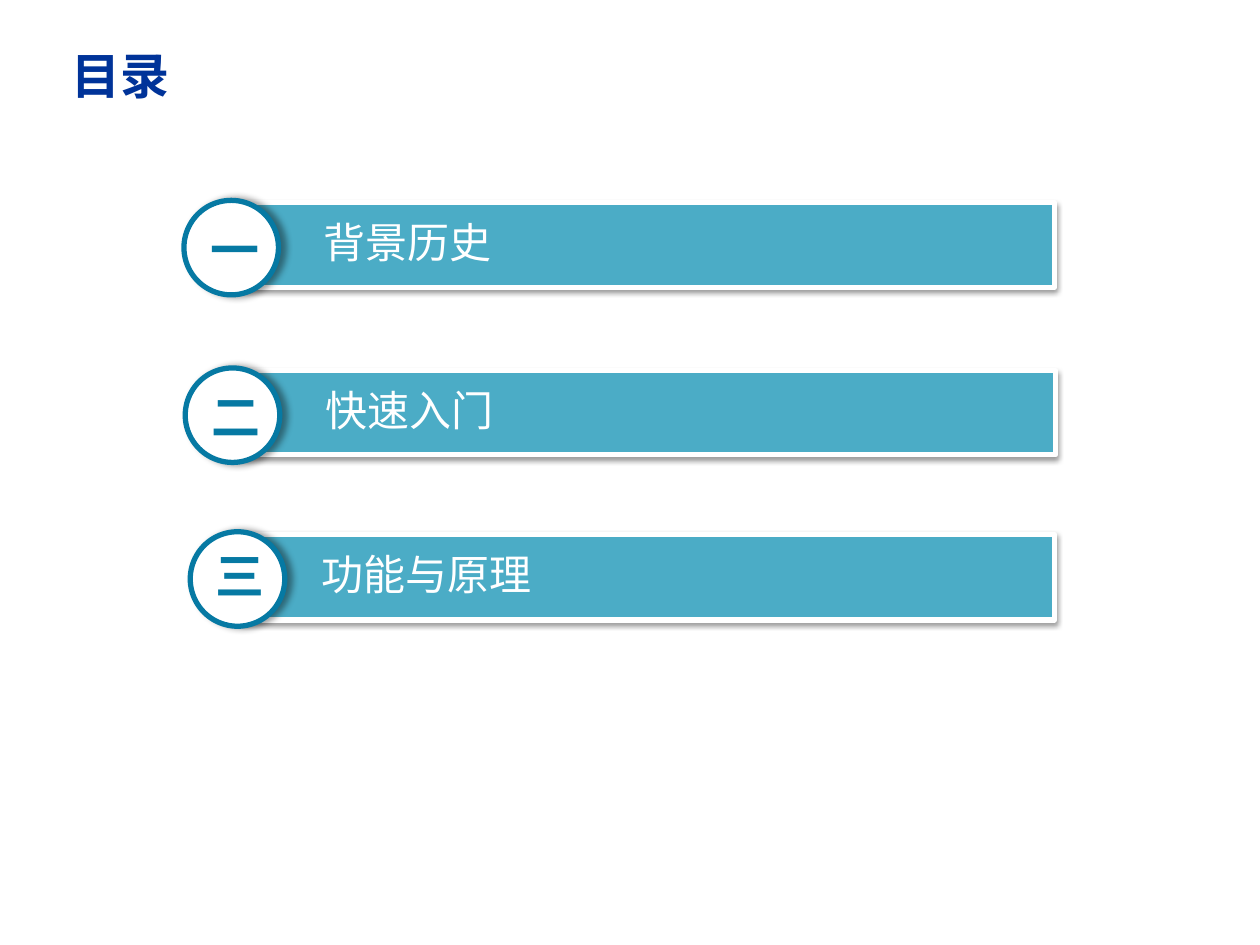
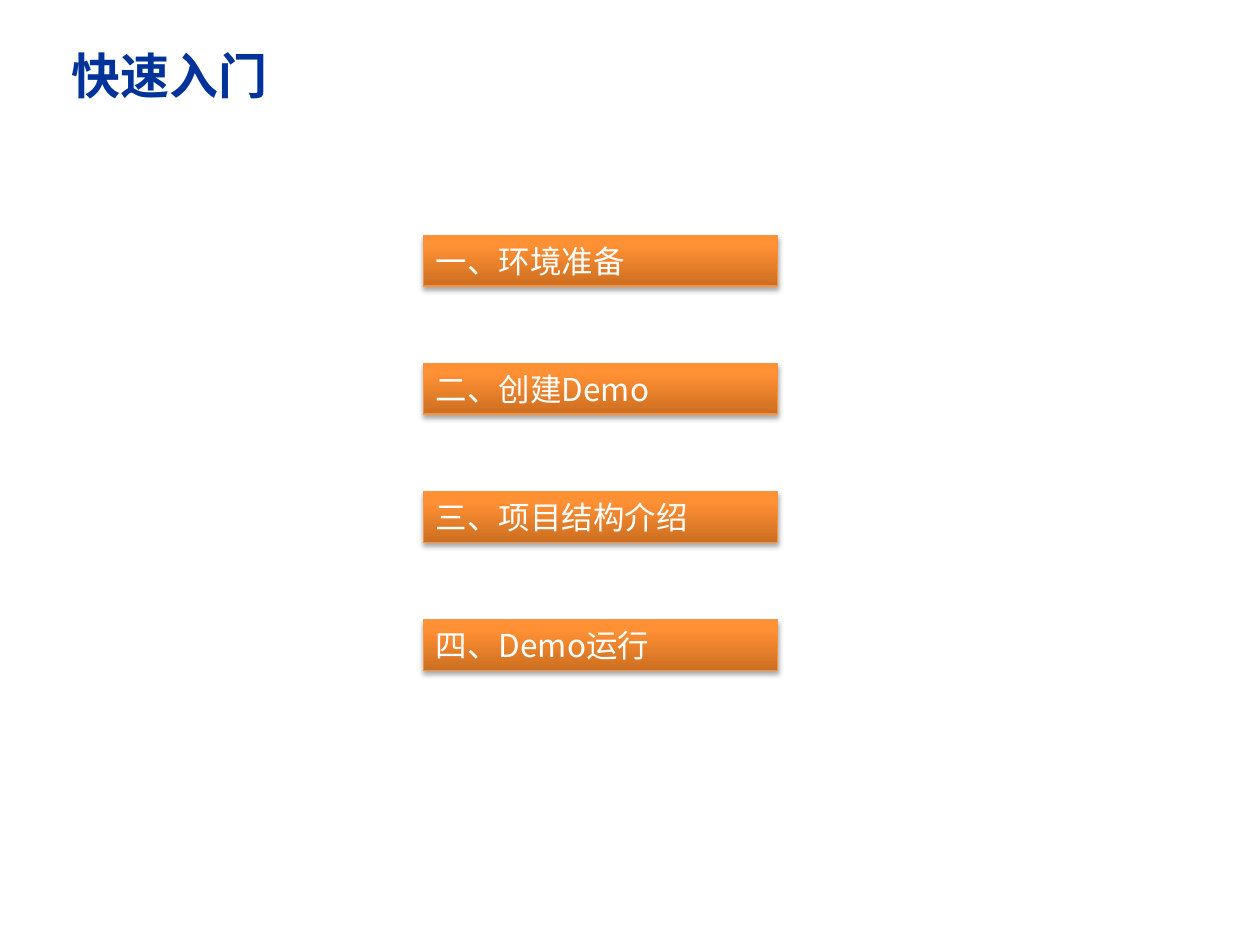
from typing import NamedTuple, Optional

from lxml.etree import SubElement
from pptx import Presentation
from pptx.dml.color import RGBColor
from pptx.enum.shapes import MSO_SHAPE as SHAPE
from pptx.enum.text import MSO_ANCHOR as ANCHOR, MSO_AUTO_SIZE as AUTOSIZE, PP_ALIGN as ALIGN
from pptx.oxml.ns import qn
from pptx.util import Inches, Pt

# Shared style
FONT = "Noto Sans CJK SC"
WHITE, NAVY, TEAL, RING = "FFFFFF", "003399", "4BACC6", "0679A3"
ORANGE_LINE, OUTLINE = "F69240", "181919"
ORANGE_STOPS = ((0, "CC6E20"), (80, "FF9034"), (100, "FF9136"))
TITLE_ONLY = 5

# The slide is a grid of 100 columns by 75 rows
WIDTH, HEIGHT = Inches(10), Inches(7.5)
COLUMNS, ROWS = 100, 75


class Box(NamedTuple):
    col: float
    row: float
    cols: float
    rows: float

    def place(self) -> tuple:
        return (round(WIDTH * self.col / COLUMNS), round(HEIGHT * self.row / ROWS),
                round(WIDTH * self.cols / COLUMNS), round(HEIGHT * self.rows / ROWS))


class Shadow(NamedTuple):
    opacity: int
    blur: float
    distance: float
    angle: int


class Chapter(NamedTuple):
    numeral: str
    title: str
    bar: Box
    disc: tuple
    label: Box


BAR_SHADOW = Shadow(38, 3.1, 1.6, 90)
DISC_SHADOW = Shadow(40, 4, 3, 0)
STEP_SHADOW = Shadow(35, 3.1, 1.8, 90)
DISC_SIZE = 7.5

CHAPTERS = (
    Chapter("一", "背景历史", Box(19.5, 16.1, 64.2, 6.7), (14.6, 15.9), Box(15.7, 16.9, 5.1, 5.7)),
    Chapter("二", "快速入门", Box(19.6, 29.4, 64.2, 6.7), (14.7, 29.2), Box(15.8, 30.2, 5.1, 5.7)),
    Chapter("三", "功能与原理", Box(19.3, 42.4, 64.4, 6.8), (15.1, 42.2), Box(16.1, 42.8, 5.6, 5.7)),
)
STEPS = ("一、环境准备", "二、创建Demo", "三、项目结构介绍", "四、Demo运行")
STEP_TOP, STEP_PITCH = 18.7, 10.17


def rgb(value: str) -> RGBColor:
    return RGBColor.from_string(value)


def add_color(parent, value: str, opacity: int = 100) -> None:
    clr = SubElement(parent, qn("a:srgbClr"), val=value)
    if opacity < 100:
        SubElement(clr, qn("a:alpha"), val=str(opacity * 1000))


def write(sp, text: str, *, size: float, color: str, bold: bool = False,
          align=ALIGN.LEFT, anchor=ANCHOR.TOP, wrap: bool = True, grow: bool = True,
          inset: float = 0.1, line_spacing: Optional[float] = None, outlined: bool = False) -> None:
    tf = sp.text_frame
    tf.word_wrap, tf.vertical_anchor = wrap, anchor
    tf.auto_size = AUTOSIZE.SHAPE_TO_FIT_TEXT if grow else AUTOSIZE.NONE
    tf.margin_left, tf.margin_right = Inches(inset), Inches(0.1)
    tf.margin_top = tf.margin_bottom = Inches(0.05)
    p = tf.paragraphs[0]
    p.alignment = align
    if line_spacing:
        p.line_spacing = line_spacing
    r = p.add_run()
    r.text = text
    r.font.size, r.font.bold, r.font.name = Pt(size), bold, FONT
    r.font.color.rgb = rgb(color)
    rPr = r.font._element
    SubElement(rPr, qn("a:ea"), typeface=FONT)
    if outlined:
        rPr.set("spc", "50")
        ln = SubElement(rPr, qn("a:ln"), w=str(Pt(1.06)))
        add_color(SubElement(ln, qn("a:solidFill")), OUTLINE, opacity=6)
        rPr.insert(0, ln)


def add_panel(s, kind, box: Box, line: str, line_width: float, shadow: Shadow,
              fill: Optional[str] = None, stops: tuple = ()):
    """Draw a shadowed shape with a plain fill or an upward gradient."""
    sp = s.shapes.add_shape(kind, *box.place())
    if stops:
        sp.fill.gradient()
        sp.fill.gradient_angle = 90
        stop_list = next(sp._element.iter(qn("a:gsLst")))
        for stop in list(stop_list):
            stop_list.remove(stop)
        for share, value in stops:
            add_color(SubElement(stop_list, qn("a:gs"), pos=str(share * 1000)), value)
    else:
        sp.fill.solid()
        sp.fill.fore_color.rgb = rgb(fill)
    sp.line.color.rgb, sp.line.width = rgb(line), Pt(line_width)
    sp.shadow.inherit = False
    effects = sp._element.spPr.find(qn("a:effectLst"))
    outer = SubElement(effects, qn("a:outerShdw"), blurRad=str(Pt(shadow.blur)),
                       dist=str(Pt(shadow.distance)), dir=str(shadow.angle * 60000),
                       rotWithShape="0")
    add_color(outer, "000000", shadow.opacity)
    return sp


def add_titled_slide(prs, title: str, cols: float, rows: float, wrap: bool = True):
    s = prs.slides.add_slide(prs.slide_layouts[TITLE_ONLY])
    sp = s.shapes.title
    sp.left, sp.top, sp.width, sp.height = Box(4.7, 3.1, cols, rows).place()
    write(sp, title, size=28, color=NAVY, bold=True, wrap=wrap)
    return s


def add_chapter(s, chapter: Chapter) -> None:
    bar = add_panel(s, SHAPE.RECTANGLE, chapter.bar, WHITE, 3, BAR_SHADOW, fill=TEAL)
    write(bar, chapter.title, size=24, color=WHITE, anchor=ANCHOR.MIDDLE,
          grow=False, inset=0.62, line_spacing=0.9)
    add_panel(s, SHAPE.OVAL, Box(*chapter.disc, DISC_SIZE, DISC_SIZE), RING, 3,
              DISC_SHADOW, fill=WHITE)
    label = s.shapes.add_textbox(*chapter.label.place())
    write(label, chapter.numeral, size=28, color=RING, bold=True,
          align=ALIGN.CENTER, outlined=True)


def main() -> None:
    prs = Presentation()
    prs.slide_width, prs.slide_height = WIDTH, HEIGHT

    # Contents
    s = add_titled_slide(prs, "目录", 28.1, 9.9)
    for chapter in CHAPTERS:
        add_chapter(s, chapter)

    # Quick start
    s = add_titled_slide(prs, "快速入门", 17.8, 5.7, wrap=False)
    for i, step in enumerate(STEPS):
        box = Box(33.6, STEP_TOP + i * STEP_PITCH, 28.1, 4)
        sp = add_panel(s, SHAPE.RECTANGLE, box, ORANGE_LINE, 0.75, STEP_SHADOW,
                       stops=ORANGE_STOPS)
        write(sp, step, size=18, color=WHITE)

    prs.save("out.pptx")


if __name__ == "__main__":
    main()
